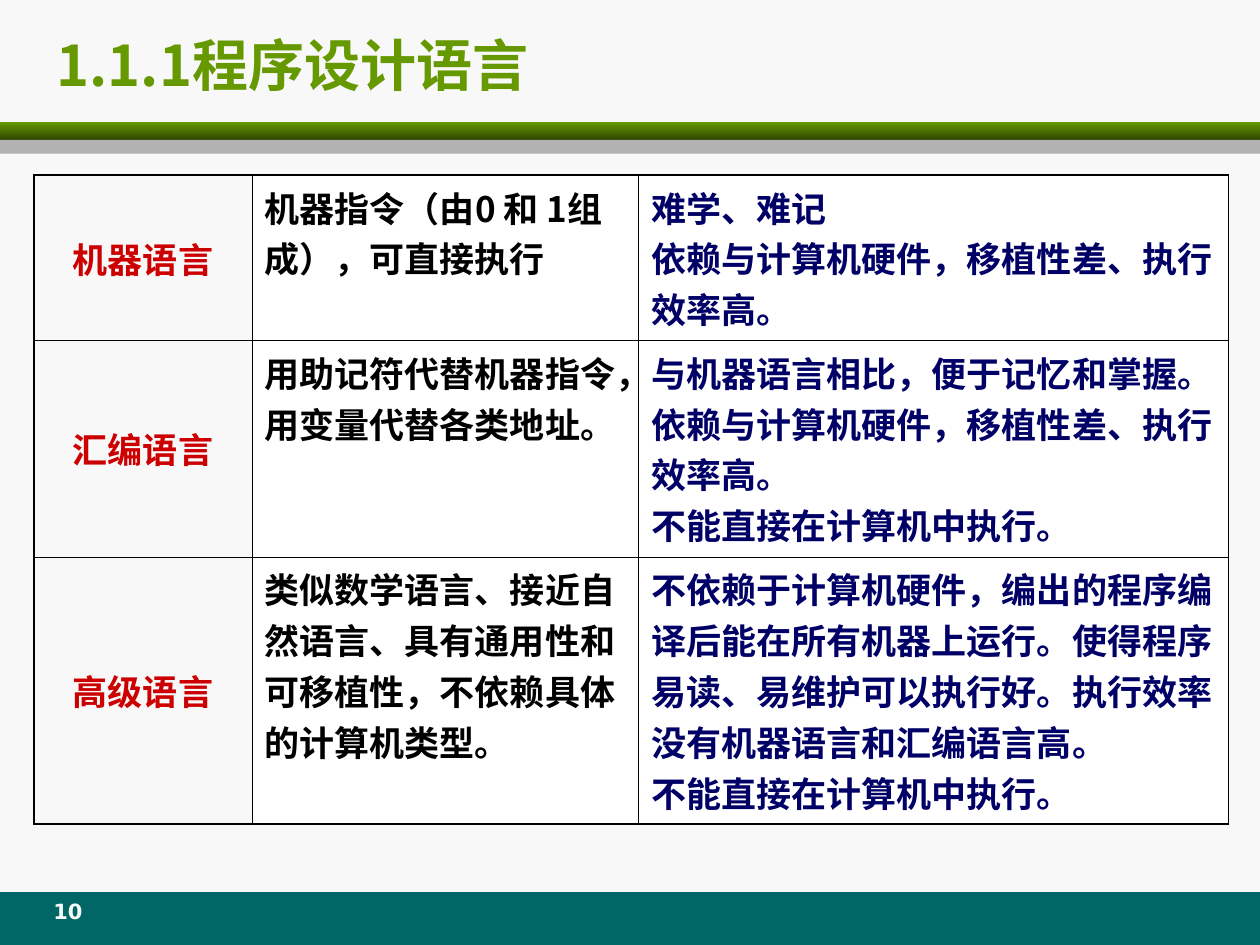
import pptx
import pptx.util
import pptx.dml.color
import pptx.enum.shapes
import pptx.enum.text
import pptx.oxml
import pptx.oxml.ns

Inches = pptx.util.Inches
Pt = pptx.util.Pt
ALIGN = pptx.enum.text.PP_ALIGN
ANCHOR = pptx.enum.text.MSO_ANCHOR

COLORS = {
    "background": "F8F8F8",
    "green": "669900",
    "dark_green": "2F4600",
    "gray": "B2B2B2",
    "teal": "006666",
    "language": "CC0000",
    "form": "000000",
    "traits": "000066",
    "cell": "FFFFFF",
    "border": "000000",
}
TITLE_FONT = "Noto Sans CJK JP"
TABLE_FONT = "Noto Sans CJK SC"
NUMBER_FONT = "DejaVu Sans"

COLUMN_WIDTHS = [1.73, 3.07, 4.68]
ROW_HEIGHTS = [1.31, 1.72, 2.12]
HARDWARE_BOUND = "依赖与计算机硬件，移植性差、执行效率高。"
NOT_DIRECT = "不能直接在计算机中执行。"
LANGUAGES = [
    ("机器语言", "机器指令（由0 和 1组成），可直接执行",
     "难学、难记\n" + HARDWARE_BOUND),
    ("汇编语言", "用助记符代替机器指令，用变量代替各类地址。",
     "与机器语言相比，便于记忆和掌握。\n" + HARDWARE_BOUND + "\n" + NOT_DIRECT),
    ("高级语言", "类似数学语言、接近自然语言、具有通用性和可移植性，不依赖具体的计算机类型。",
     "不依赖于计算机硬件，编出的程序编译后能在所有机器上运行。使得程序易读、易维护可以执行好。"
     "执行效率没有机器语言和汇编语言高。\n" + NOT_DIRECT),
]


def rgb(name):
    return pptx.dml.color.RGBColor.from_string(COLORS[name])


def format_text(frame, font, size, color, align):
    for paragraph in frame.paragraphs:
        paragraph.alignment = align
        for run in paragraph.runs:
            run.font.name = font
            run.font.size = Pt(size)
            run.font.bold = True
            run.font.color.rgb = rgb(color)
            east_asian = pptx.oxml.parse_xml(
                f'<a:ea {pptx.oxml.ns.nsdecls("a")} typeface="{font}"/>')
            run.font._element.find(pptx.oxml.ns.qn("a:latin")).addnext(east_asian)


def add_band(slide, left, top, width, height, color, end_color=None):
    band = slide.shapes.add_shape(
        pptx.enum.shapes.MSO_SHAPE.RECTANGLE,
        Inches(left), Inches(top), Inches(width), Inches(height))
    band.shadow.inherit = False
    band.line.fill.background()
    if end_color:
        band.fill.gradient()
        band.fill.gradient_angle = 270
        for stop, name in zip(band.fill.gradient_stops, (color, end_color)):
            stop.color.rgb = rgb(name)
    else:
        band.fill.solid()
        band.fill.fore_color.rgb = rgb(color)


def place_title(slide, left, top, width, height):
    title = slide.shapes.title
    title.left, title.top = Inches(left), Inches(top)
    title.width, title.height = Inches(width), Inches(height)
    frame = title.text_frame
    frame.text = "1.1.1程序设计语言"
    frame.auto_size = pptx.enum.text.MSO_AUTO_SIZE.NONE
    frame.vertical_anchor = ANCHOR.MIDDLE
    format_text(frame, TITLE_FONT, 32, "green", ALIGN.LEFT)


def set_borders(cell, outer_sides):
    properties = cell._tc.get_or_add_tcPr()
    for index, side in enumerate("LRTB"):
        width = Pt(1.08 if side in outer_sides else 0.45)
        properties.insert(index, pptx.oxml.parse_xml(
            f'<a:ln{side} {pptx.oxml.ns.nsdecls("a")} w="{width}"><a:solidFill>'
            f'<a:srgbClr val="{COLORS["border"]}"/></a:solidFill></a:ln{side}>'))


def add_language_table(slide, left, top, width, height):
    table = slide.shapes.add_table(
        len(LANGUAGES), len(COLUMN_WIDTHS),
        Inches(left), Inches(top), Inches(width), Inches(height)).table
    table.first_row = False
    table.horz_banding = False
    for column, column_width in zip(table.columns, COLUMN_WIDTHS):
        column.width = Inches(column_width)
    last_row, last_column = len(LANGUAGES) - 1, len(COLUMN_WIDTHS) - 1
    for r, texts in enumerate(LANGUAGES):
        table.rows[r].height = Inches(ROW_HEIGHTS[r])
        for c, (text, color) in enumerate(zip(texts, ("language", "form", "traits"))):
            cell = table.cell(r, c)
            cell.text_frame.text = text
            is_name = c == 0
            cell.vertical_anchor = ANCHOR.MIDDLE if is_name else ANCHOR.TOP
            format_text(cell.text_frame, TABLE_FONT, 20, color,
                        ALIGN.CENTER if is_name else ALIGN.LEFT)
            if is_name:
                cell.fill.background()
            else:
                cell.fill.solid()
                cell.fill.fore_color.rgb = rgb("cell")
            edges = {"L": c == 0, "R": c == last_column, "T": r == 0, "B": r == last_row}
            set_borders(cell, [side for side, outer in edges.items() if outer])


def add_page_number(slide, left, top, width, height):
    number = slide.shapes.add_textbox(
        Inches(left), Inches(top), Inches(width), Inches(height)).text_frame
    number.word_wrap = True
    number.text = "10"
    format_text(number, NUMBER_FONT, 12, "background", ALIGN.CENTER)


def main():
    deck = pptx.Presentation()
    deck.slide_width, deck.slide_height = Inches(10), Inches(7.5)
    slide = deck.slides.add_slide(deck.slide_layouts[5])
    slide.background.fill.solid()
    slide.background.fill.fore_color.rgb = rgb("background")
    add_band(slide, 0, 7.08, 10, 0.42, "teal")
    add_band(slide, 0, 0.97, 10, 0.14, "green", "dark_green")
    add_band(slide, 0, 1.11, 10, 0.11, "gray")
    place_title(slide, 0.35, 0.21, 8.72, 0.59)
    add_language_table(slide, 0.27, 1.39, sum(COLUMN_WIDTHS), sum(ROW_HEIGHTS))
    add_page_number(slide, 0.25, 7.08, 0.58, 0.33)
    deck.save("out.pptx")


if __name__ == "__main__":
    main()
